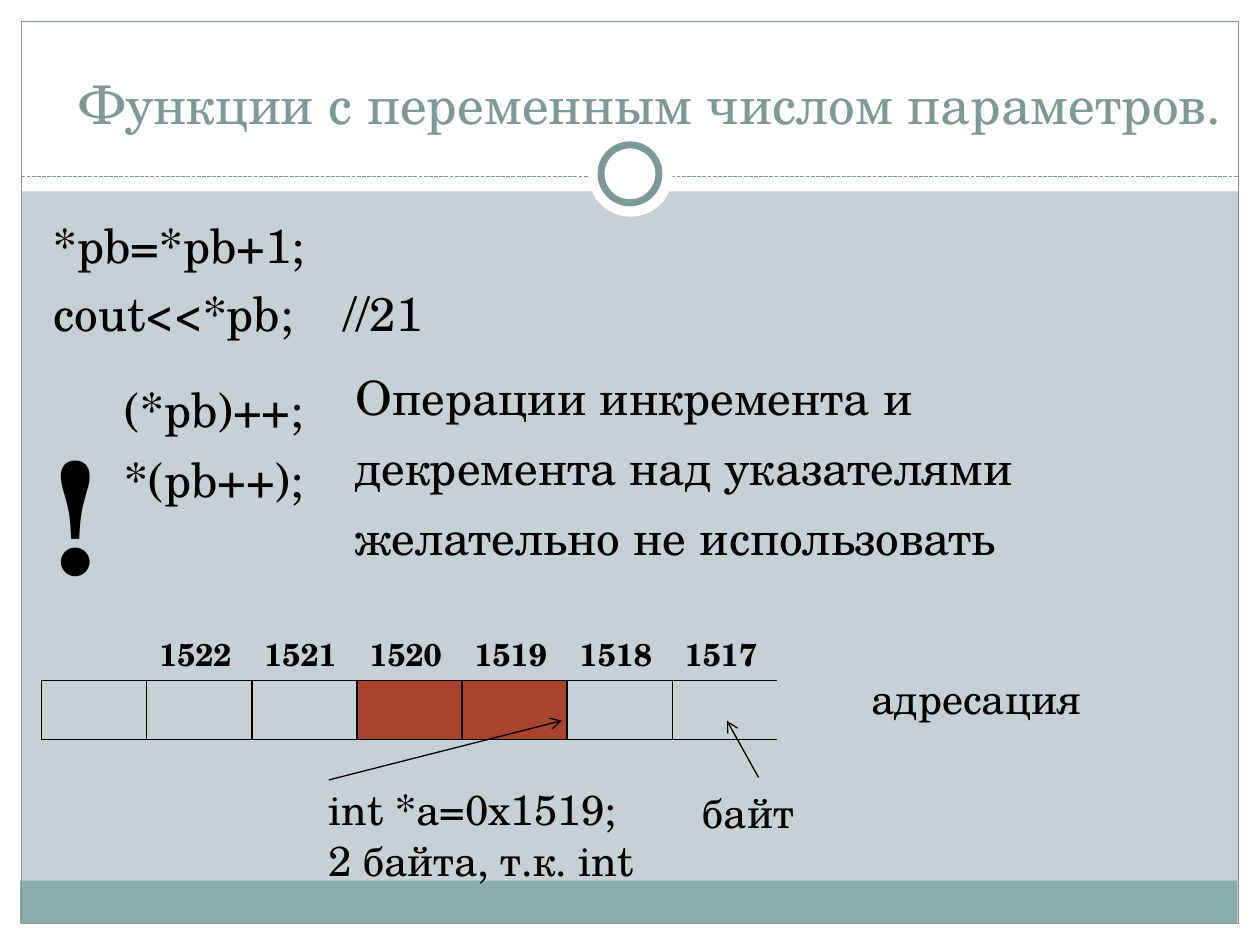
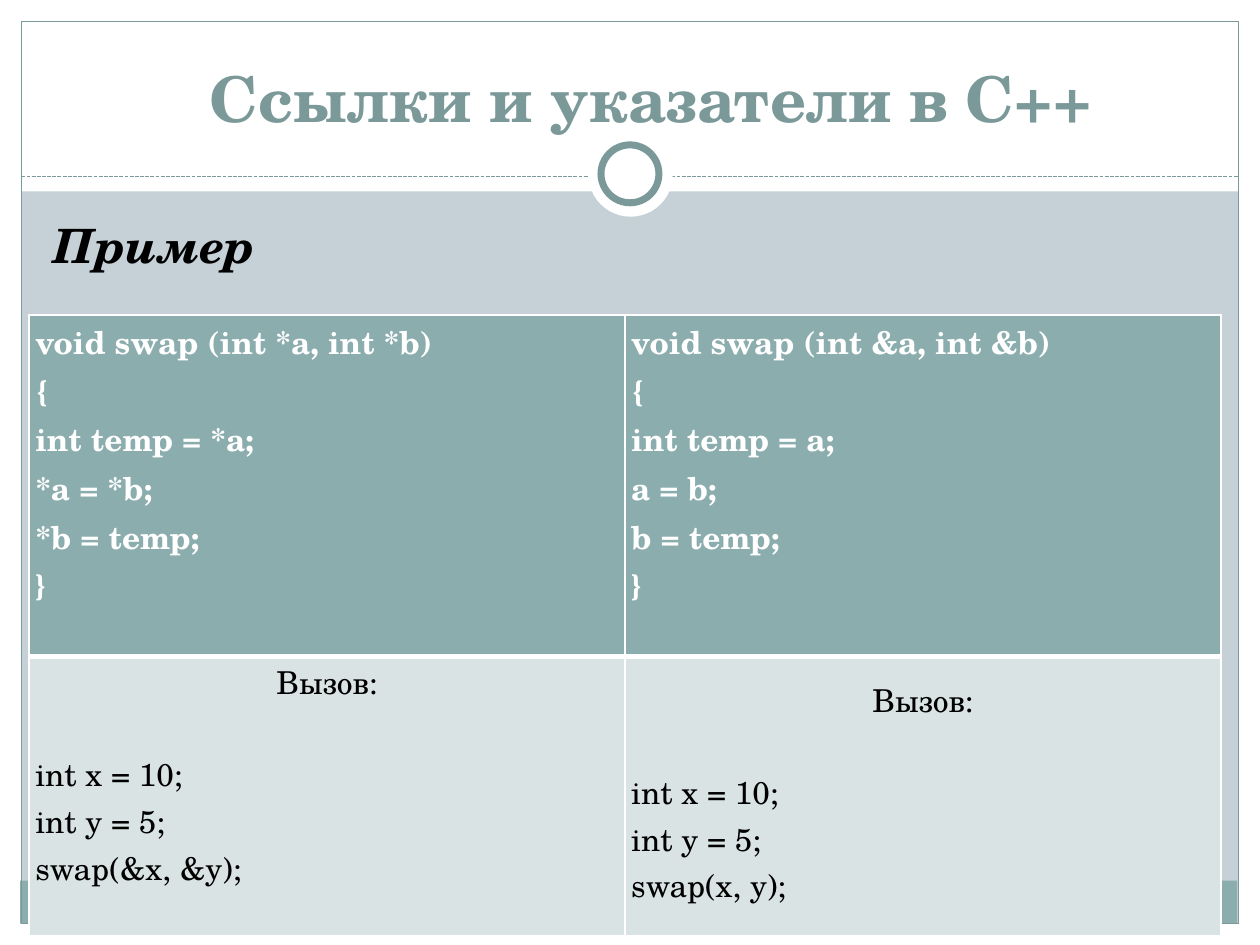
from dataclasses import dataclass
from typing import Optional

from lxml import etree
from pptx import Presentation
from pptx.dml.color import RGBColor
from pptx.enum.dml import MSO_LINE
from pptx.enum.shapes import MSO_CONNECTOR, MSO_SHAPE
from pptx.enum.text import MSO_ANCHOR, PP_ALIGN
from pptx.oxml.ns import qn
from pptx.util import Inches, Pt

RECT, OVAL = MSO_SHAPE.RECTANGLE, MSO_SHAPE.OVAL
STRAIGHT = MSO_CONNECTOR.STRAIGHT
DASH = MSO_LINE.SQUARE_DOT
LEFT, CENTER = PP_ALIGN.LEFT, PP_ALIGN.CENTER
TOP, BOTTOM = MSO_ANCHOR.TOP, MSO_ANCHOR.BOTTOM

FONT = "TeX Gyre Schola"
PLAIN_STYLE = "{2D5ABB26-0587-4C30-8999-92F81FD0307C}"  # no style, no grid
COLORS = {
    "page": "C5D1D7",
    "white": "FFFFFF",
    "band": "8CADAE",
    "accent": "7C999A",
    "pale": "DAE3E3",
    "rust": "A9432B",
    "black": "000000",
}


@dataclass(frozen=True)
class Box:
    left: float
    top: float
    width: float
    height: float

    def emu(self) -> tuple:
        return tuple(Inches(v) for v in (self.left, self.top, self.width, self.height))


@dataclass(frozen=True)
class Part:
    """One shape of the frame that every slide carries."""
    kind: int
    box: Box
    fill: Optional[str] = None
    line: Optional[str] = None
    weight: float = 0.75


MARGINS = [
    Part(RECT, Box(0, 7.33, 10, 0.17), "white"),
    Part(RECT, Box(0, 0, 10, 1.52), "white"),
    Part(RECT, Box(0, 0, 0.17, 7.5), "white"),
    Part(RECT, Box(9.83, 0, 0.17, 7.5), "white"),
    Part(RECT, Box(0.16, 6.99, 9.66, 0.34), "band"),
    Part(RECT, Box(0.17, 0.17, 9.66, 7.16), None, "accent"),
]
RING = [
    Part(OVAL, Box(4.67, 1.05, 0.67, 0.67), "white"),
    Part(OVAL, Box(4.77, 1.15, 0.46, 0.46), "white", "accent", 4),
]
TITLE = Box(0.5, 0.29, 9.33, 0.83)
BODY = Box(0.33, 1.67, 9.3, 5.7)


def rgb(name: str) -> RGBColor:
    return RGBColor.from_string(COLORS[name])


def write(frame, text: str, *, size: float, color: str = "black", bold: bool = False,
          italic: bool = False, align: int = LEFT, after: float = 0,
          pitch: Optional[float] = None, hang: float = 0) -> None:
    """Add each line of text as a paragraph; pitch is the line height in points."""
    for line in text.split("\n"):
        para = frame.paragraphs[-1]
        if para.runs:
            para = frame.add_paragraph()
        para.alignment = align
        para.space_after = Pt(after)
        if pitch:
            para.line_spacing = Pt(pitch)
        if hang:
            props = para._p.get_or_add_pPr()
            props.set("marL", str(Inches(hang)))
            props.set("indent", str(-Inches(hang)))
        run = para.add_run()
        run.text = line
        font = run.font
        font.name, font.size = FONT, Pt(size)
        font.bold, font.italic = bold, italic
        font.color.rgb = rgb(color)


def label(slide, box: Box, text: str, anchor: int = TOP, **style) -> None:
    frame = slide.shapes.add_textbox(*box.emu()).text_frame
    frame.word_wrap = True
    frame.vertical_anchor = anchor
    write(frame, text, **style)


def draw(slide, part: Part) -> None:
    shape = slide.shapes.add_shape(part.kind, *part.box.emu())
    shape.shadow.inherit = False
    if part.fill:
        shape.fill.solid()
        shape.fill.fore_color.rgb = rgb(part.fill)
    else:
        shape.fill.background()
    if part.line:
        shape.line.color.rgb = rgb(part.line)
        shape.line.width = Pt(part.weight)
    else:
        shape.line.fill.background()


def link(slide, start: tuple, end: tuple, color: str, *,
         dash: Optional[int] = None, arrow: bool = False) -> None:
    ends = [Inches(v) for v in start + end]
    wire = slide.shapes.add_connector(STRAIGHT, *ends)
    wire.line.color.rgb = rgb(color)
    wire.line.width = Pt(0.75)
    if dash:
        wire.line.dash_style = dash
    if arrow:
        etree.SubElement(wire.line._get_or_add_ln(), qn("a:tailEnd"), type="arrow")
    etree.SubElement(wire._element.spPr, qn("a:effectLst"))


def grid(slide, left: float, top: float, cols: list, rows: list):
    """Add a table without any style of its own."""
    box = Box(left, top, sum(cols), sum(rows))
    table = slide.shapes.add_table(len(rows), len(cols), *box.emu()).table
    table.first_row = table.horz_banding = False
    table._tbl.tblPr.find(qn("a:tableStyleId")).text = PLAIN_STYLE
    for col, width in zip(table.columns, cols):
        col.width = Inches(width)
    for row, height in zip(table.rows, rows):
        row.height = Inches(height)
    return table


def inset(cell, top: float, side: float = 0.1) -> None:
    cell.margin_left = cell.margin_right = Inches(side)
    cell.margin_top, cell.margin_bottom = Inches(top), 0


def edge(cell, color: str, **sides: float) -> None:
    """Draw borders; sides maps L, R, T and B to widths in points."""
    props = cell._tc.get_or_add_tcPr()
    for side in "LRTB":
        if side in sides:
            line = etree.SubElement(props, qn("a:ln" + side), w=str(Pt(sides[side])))
            solid = etree.SubElement(line, qn("a:solidFill"))
            etree.SubElement(solid, qn("a:srgbClr"), val=COLORS[color])


def paint(cell, color: str) -> None:
    cell.fill.solid()
    cell.fill.fore_color.rgb = rgb(color)


def start(deck, title: str, **style):
    """Add a slide with the shared frame and its title."""
    slide = deck.slides.add_slide(deck.slide_layouts[6])
    back = slide.background.fill
    back.solid()
    back.fore_color.rgb = rgb("page")
    for part in MARGINS:
        draw(slide, part)
    link(slide, (0.17, 1.4), (9.83, 1.4), "accent", dash=DASH)
    for part in RING:
        draw(slide, part)
    label(slide, TITLE, title, BOTTOM, color="accent", align=CENTER, **style)
    return slide


def memory(slide) -> None:
    """Draw the row of bytes with the addresses above it."""
    count = 7
    table = grid(slide, 0.33, 4.91, [5.84 / count] * count, [0.49, 0.47])
    for col in range(count):
        head, byte = table.cell(0, col), table.cell(1, col)
        if col:
            inset(head, 0.09)
            write(head.text_frame, str(1523 - col), size=18, bold=True)
        sides = dict(L=1, T=1, B=1)
        if col < count - 1:
            sides["R"] = 1
        edge(byte, "black", **sides)
        if col in (3, 4):
            paint(byte, "rust")


def warning(slide) -> None:
    table = grid(slide, 0.31, 2.87, [0.58, 1.83, 6.72], [1.92])
    mark, code, note = table.rows[0].cells
    inset(mark, 0.26, 0.05)
    write(mark.text_frame, "!", size=88, bold=True, align=CENTER)
    inset(code, 0.09)
    write(code.text_frame, "(*pb)++;\n*(pb++);", size=27, pitch=40)
    inset(note, 0)
    write(note.text_frame, "Операции инкремента и декремента над указателями "
          "желательно не использовать", size=27, pitch=40)


def pointers(deck) -> None:
    slide = start(deck, "Функции с переменным числом параметров.", size=30.5)
    label(slide, BODY, "*pb=*pb+1;\ncout<<*pb; \t//21", size=27, after=6.5, hang=0.3)
    memory(slide)
    warning(slide)
    label(slide, Box(2.51, 6.17, 2.9, 0.91), "int *а=0х1519;\n2 байта, т.к. int", size=24)
    label(slide, Box(6.82, 5.29, 2.5, 0.5), "адресация", size=24)
    label(slide, Box(5.48, 6.19, 2.5, 0.5), "байт", size=24)
    link(slide, (2.61, 6.19), (4.46, 5.72), "black", arrow=True)
    link(slide, (6.02, 6.17), (5.77, 5.72), "black", arrow=True)


@dataclass(frozen=True)
class Swap:
    body: str
    call: str
    top: float


SWAPS = [
    Swap("void swap (int *a, int *b)\n{\nint temp = *a;\n*a = *b;\n*b = temp;\n}",
         "swap(&x, &y);", 0.02),
    Swap("void swap (int &a, int &b)\n{\nint temp = a;\na = b;\nb = temp;\n}",
         "swap(x, y);", 0.16),
]


def example(deck) -> None:
    slide = start(deck, "Ссылки и указатели в С++", size=36, bold=True)
    label(slide, BODY, "Пример", size=27, bold=True, italic=True, hang=0.3)
    table = grid(slide, 0.23, 2.5, [4.73, 4.73], [2.71, 2.22])
    for col, swap in enumerate(SWAPS):
        head, call = table.cell(0, col), table.cell(1, col)
        edge(head, "white", L=1, R=1, T=1, B=3)
        paint(head, "band")
        inset(head, 0.02, 0.05)
        write(head.text_frame, swap.body, size=18, color="white", bold=True, pitch=27.8)
        edge(call, "white", L=1, R=1, T=3, B=1)
        paint(call, "pale")
        inset(call, swap.top, 0.05)
        write(call.text_frame, "Вызов:", size=18, align=CENTER, pitch=26.6, after=26)
        write(call.text_frame, "int x = 10;\nint y = 5;\n" + swap.call, size=18, pitch=26.6)


def main() -> None:
    deck = Presentation()
    deck.slide_width, deck.slide_height = Inches(10), Inches(7.5)
    pointers(deck)
    example(deck)
    deck.save("out.pptx")


if __name__ == "__main__":
    main()
